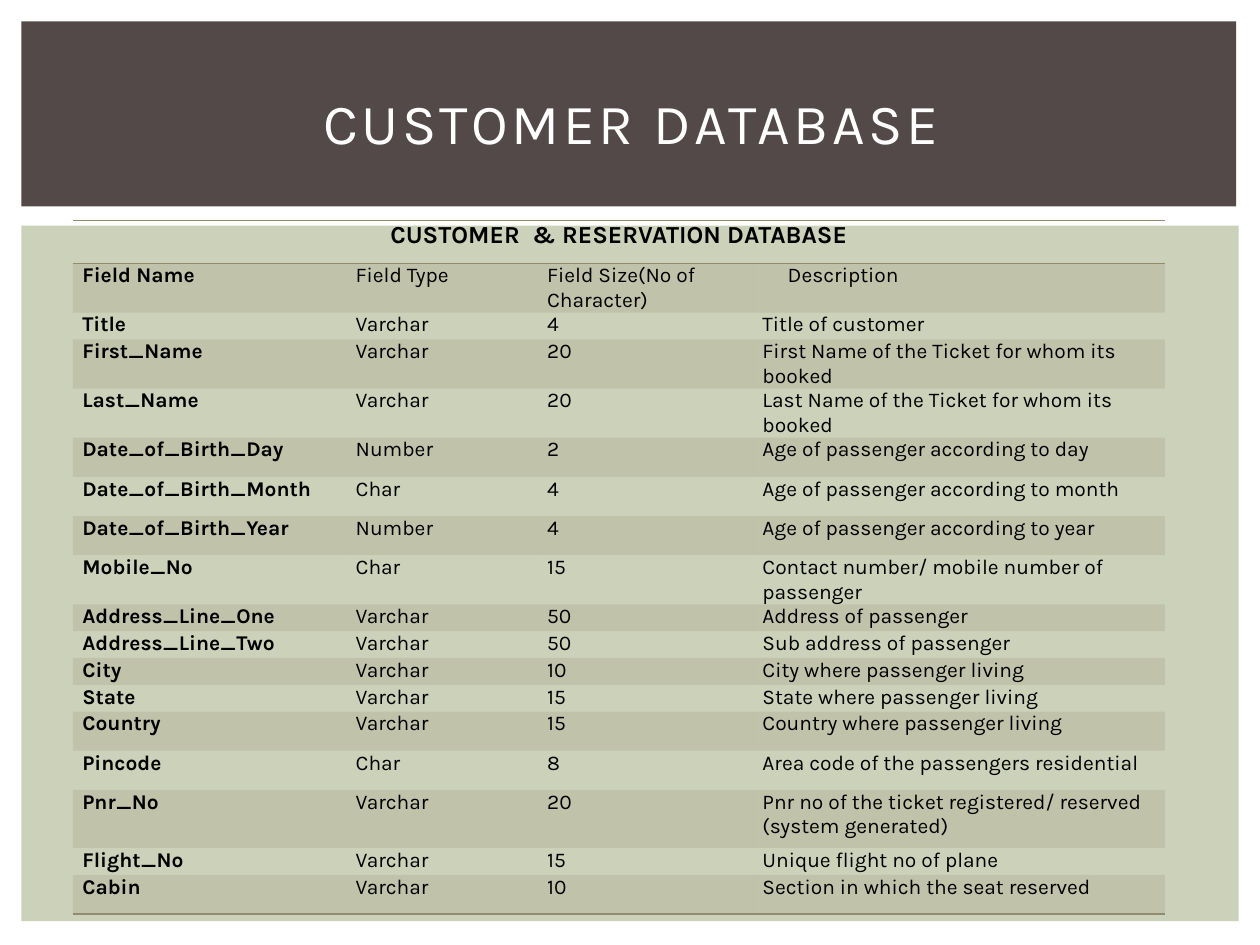
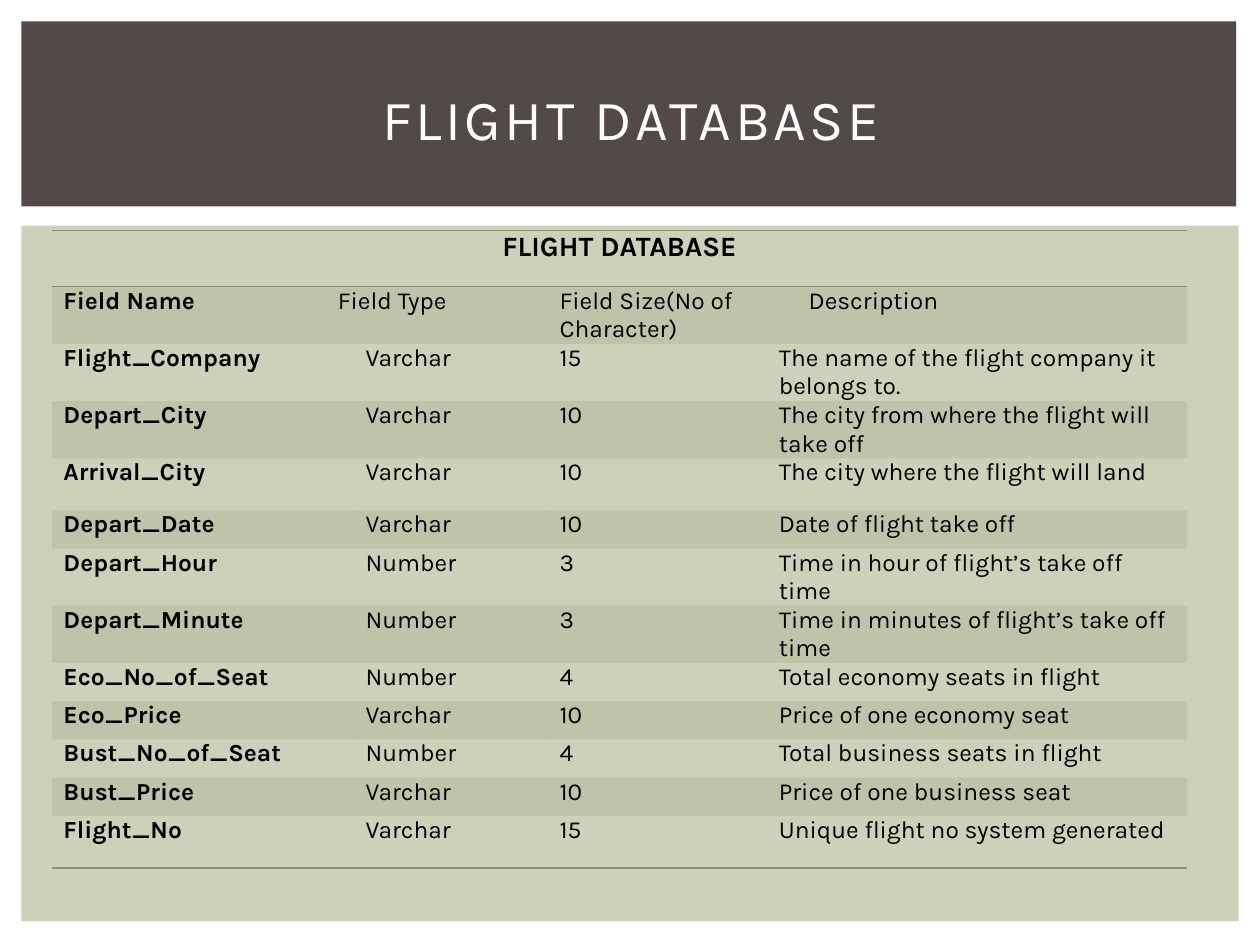
"""Build the two database field-list slides of the flight reservation deck."""
from pptx import Presentation
from pptx.dml.color import RGBColor
from pptx.enum import shapes, text
from pptx.oxml import parse_xml
from pptx.oxml import ns
from pptx.util import Cm, Pt

COLORS = {"band": "534949", "panel": "CCD1B9", "accent": "928B70",
          "title": "FFFFFF", "ink": "000000"}
FONT = "Karla"
PLAIN_STYLE = "{2D5ABB26-0587-4C30-8999-92F81FD0307C}"
BACKDROP = [("panel", (0.43, 4.55, 24.54, 14.02)), ("band", (0.43, 0.43, 24.49, 3.73))]
HEADINGS = ("Field Name", "Field Type", "Field Size(No of Character)", "Description")

CUSTOMER_FIELDS = [
    ("Title", "Varchar", "4", "Title of customer"),
    ("First_Name", "Varchar", "20", "First Name of the Ticket for whom its booked"),
    ("Last_Name", "Varchar", "20", "Last Name of the Ticket for whom its booked"),
    ("Date_of_Birth_Day", "Number", "2", "Age of passenger according to day"),
    ("Date_of_Birth_Month", "Char", "4", "Age of passenger according to month"),
    ("Date_of_Birth_Year", "Number", "4", "Age of passenger according to year"),
    ("Mobile_No", "Char", "15", "Contact number/ mobile number of passenger"),
    ("Address_Line_One", "Varchar", "50", "Address of passenger"),
    ("Address_Line_Two", "Varchar", "50", "Sub address of passenger"),
    ("City", "Varchar", "10", "City where passenger living"),
    ("State", "Varchar", "15", "State where passenger living"),
    ("Country", "Varchar", "15", "Country where passenger living"),
    ("Pincode", "Char", "8", "Area code of the passengers residential"),
    ("Pnr_No", "Varchar", "20",
     "Pnr no of the ticket registered/ reserved (system generated)"),
    ("Flight_No", "Varchar", "15", "Unique flight no of plane"),
    ("Cabin", "Varchar", "10", "Section in which the seat reserved"),
]
FLIGHT_FIELDS = [
    ("Flight_Company", "Varchar", "15", "The name of the flight company it belongs to."),
    ("Depart_City", "Varchar", "10", "The city from where the flight will take off"),
    ("Arrival_City", "Varchar", "10", "The city where the flight will land"),
    ("Depart_Date", "Varchar", "10", "Date of flight take off"),
    ("Depart_Hour", "Number", "3", "Time in hour of flight’s take off time"),
    ("Depart_Minute", "Number", "3", "Time in minutes of flight’s take off time"),
    ("Eco_No_of_Seat", "Number", "4", "Total economy seats in flight"),
    ("Eco_Price", "Varchar", "10", "Price of one economy seat"),
    ("Bust_No_of_Seat", "Number", "4", "Total business seats in flight"),
    ("Bust_Price", "Varchar", "10", "Price of one business seat"),
    ("Flight_No", "Varchar", "15", "Unique flight no system generated"),
]
DATABASES = [
    {"title": "CUSTOMER DATABASE", "title_box": (3.05, 1.75, 19.35, 1.42),
     "caption": "CUSTOMER  & RESERVATION DATABASE", "fields": CUSTOMER_FIELDS,
     "corner": (1.47, 4.45), "widths": (5.51, 3.86, 4.34, 8.3),
     "heights": [0.86, 0.99, 0.54, 0.99, 0.99] + [0.79] * 3 + [0.99] + [0.54] * 4
                + [0.79, 0.79, 1.17, 0.54, 0.79],
     "sizes": (14, 12), "inset": 0.19, "indent": 0.51},
    {"title": "FLIGHT DATABASE", "title_box": (3.05, 1.6, 19.35, 1.57),
     "caption": "FLIGHT DATABASE", "fields": FLIGHT_FIELDS,
     "corner": (1.05, 4.65), "widths": (5.53, 0.36, 3.91, 4.42, 8.46),
     "heights": [1.13] + [1.15] * 3 + [1.05, 0.77, 1.15, 1.15] + [0.77] * 4 + [1.05],
     "sizes": (16, 14), "inset": 0.23, "indent": 0.6},
]


def color(name):
    return RGBColor.from_string(COLORS[name])


def write(frame, words, size, ink="ink", bold=False, align=text.PP_ALIGN.LEFT):
    frame.text = words
    paragraph = frame.paragraphs[0]
    paragraph.alignment = align
    font = paragraph.font
    font.name, font.size, font.bold = FONT, Pt(size), bold
    font.color.rgb = color(ink)
    return paragraph


def add_backdrop(slide):
    """Draw the bands and hand them to the layout, behind its placeholders."""
    for place, (name, box) in enumerate(BACKDROP, start=2):
        band = slide.shapes.add_shape(shapes.MSO_SHAPE.RECTANGLE, *map(Cm, box))
        band.shadow.inherit = False
        band.fill.solid()
        band.fill.fore_color.rgb = color(name)
        band.line.fill.background()
        slide.slide_layout.shapes.element.insert(place, band.element)


def add_title(slide, database):
    title = slide.shapes.title
    title.left, title.top, title.width, title.height = map(Cm, database["title_box"])
    frame = title.text_frame
    frame.auto_size = text.MSO_AUTO_SIZE.NONE
    frame.vertical_anchor = text.MSO_ANCHOR.MIDDLE
    heading = write(frame, database["title"], 32.4, "title", align=text.PP_ALIGN.CENTER)
    heading.runs[0].font._element.set("spc", "200")


def shade(cell):
    cell.fill.solid()
    cell.fill.fore_color.rgb = color("accent")
    tint = cell._tc.tcPr.find(".//" + ns.qn("a:srgbClr"))
    tint.append(parse_xml(f'<a:alpha {ns.nsdecls("a")} val="20000"/>'))


def rule(cell, sides):
    for place, side in enumerate(sides):
        cell._tc.get_or_add_tcPr().insert(place, parse_xml(
            f'<a:ln{side} {ns.nsdecls("a")} w="12700"><a:solidFill>'
            f'<a:srgbClr val="{COLORS["accent"]}"/></a:solidFill></a:ln{side}>'))


def add_fields(slide, database):
    widths, heights = database["widths"], database["heights"]
    caption_size, field_size = database["sizes"]
    last_row, last_column = len(heights) - 1, len(widths) - 1
    graphic = slide.shapes.add_table(
        len(heights), len(widths), *map(Cm, database["corner"]),
        Cm(sum(widths)), Cm(sum(heights)))
    fields = graphic.table
    fields.first_row = fields.horz_banding = False
    fields._tbl.tblPr.find(ns.qn("a:tableStyleId")).text = PLAIN_STYLE
    for column, width in zip(fields.columns, widths):
        column.width = Cm(width)

    for r, height in enumerate(heights):
        fields.rows[r].height = Cm(height)
        for c in range(len(widths)):
            cell = fields.cell(r, c)
            cell.margin_left = cell.margin_right = Cm(database["inset"])
            cell.margin_top = cell.margin_bottom = 0
            if r % 2:
                shade(cell)
            else:
                cell.fill.background()
            if r in (0, last_row):
                rule(cell, "B" if r else "TB")

    fields.cell(0, 0).merge(fields.cell(0, last_column))
    write(fields.cell(0, 0).text_frame, database["caption"], caption_size,
          bold=True, align=text.PP_ALIGN.CENTER)
    for r, entries in enumerate([HEADINGS] + database["fields"], start=1):
        starts = list(range(len(widths)))
        if len(widths) > len(HEADINGS):
            joined = 1 if r == 1 else 0
            fields.cell(r, joined).merge(fields.cell(r, joined + 1))
            starts.remove(joined + 1)
        for c, words in zip(starts, entries):
            entry = write(fields.cell(r, c).text_frame, words, field_size, bold=c == 0)
            if words == "Description":
                entry._p.get_or_add_pPr().set("marL", str(Cm(database["indent"])))


def main():
    deck = Presentation()
    deck.slide_width, deck.slide_height = Cm(25.4), Cm(19.05)
    title_only = deck.slide_layouts[5]
    for number, database in enumerate(DATABASES):
        slide = deck.slides.add_slide(title_only)
        if number == 0:
            add_backdrop(slide)
        add_fields(slide, database)
        add_title(slide, database)
    deck.save("out.pptx")


if __name__ == "__main__":
    main()
